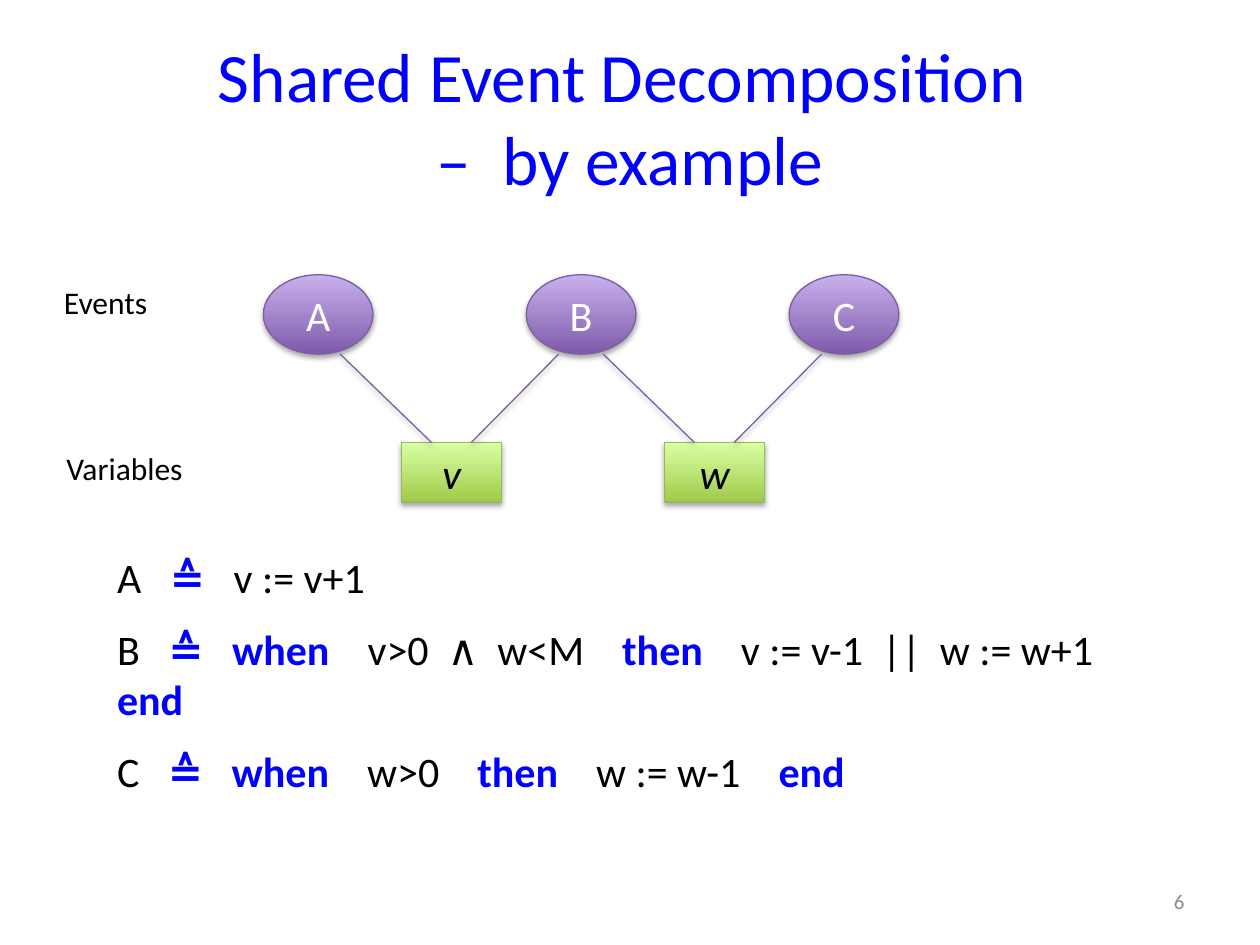
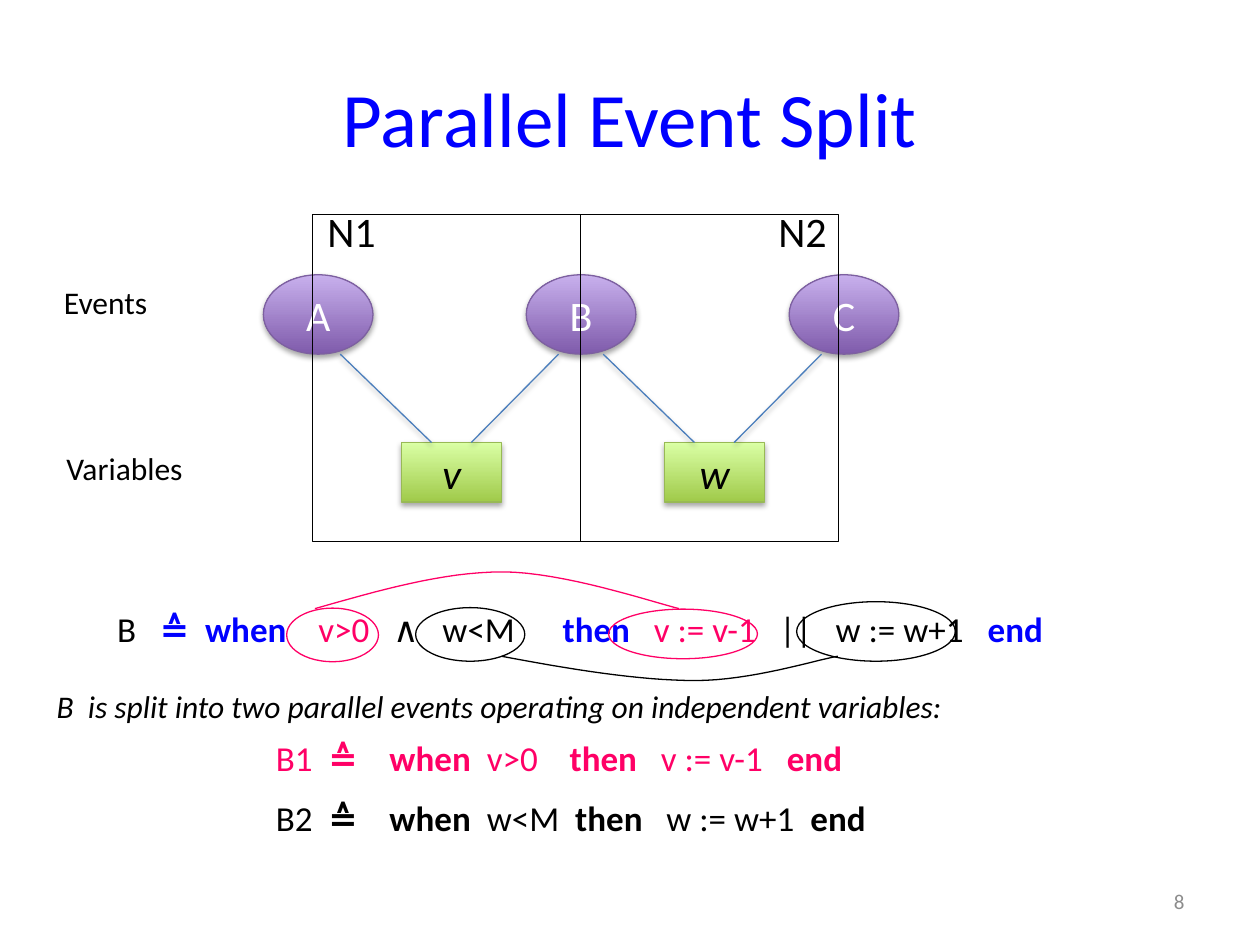
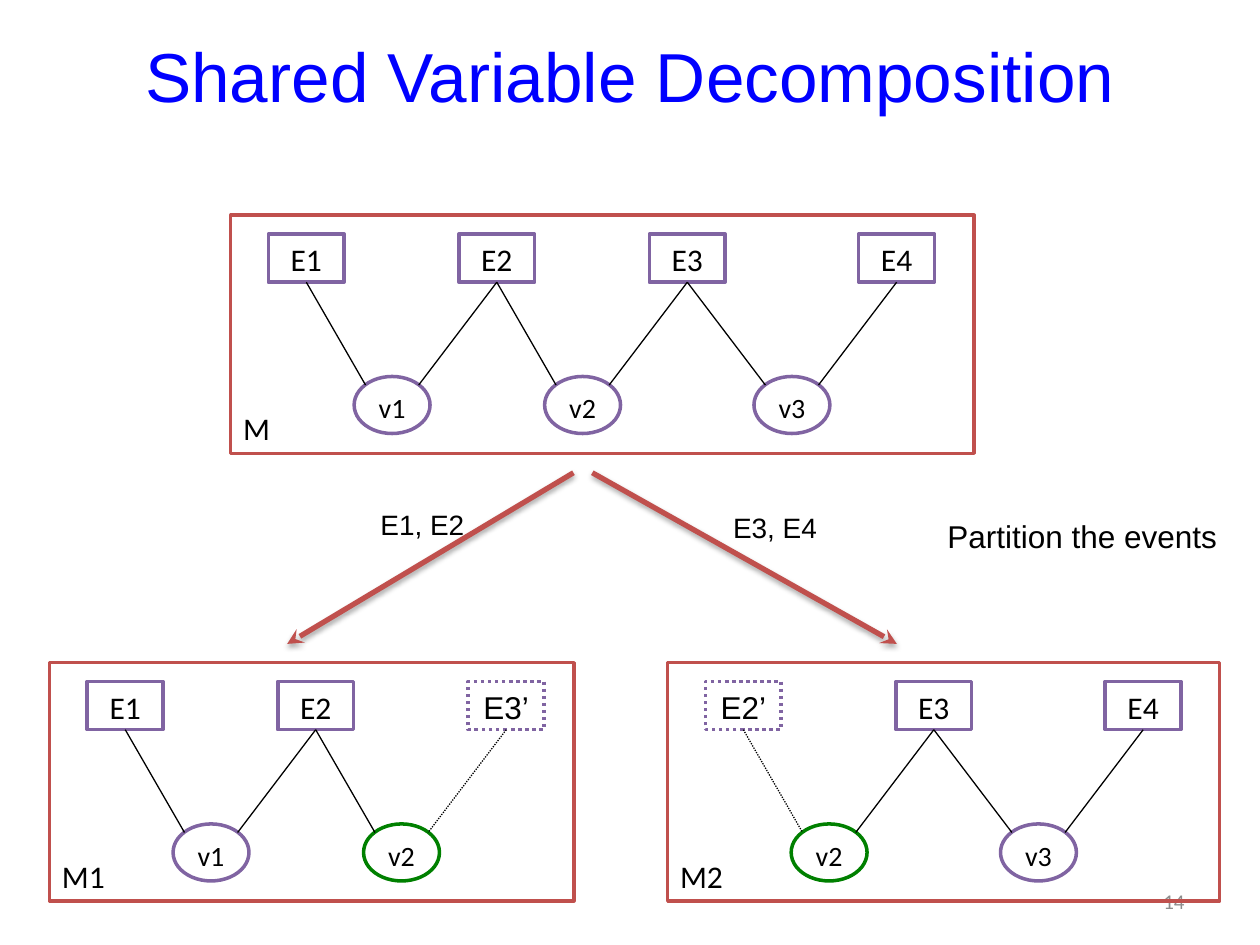
from copy import deepcopy
from dataclasses import dataclass
from typing import Any, NamedTuple

from lxml import etree
from pptx import Presentation
from pptx import util as u
from pptx.dml.color import RGBColor
from pptx.enum import dml, shapes, text
from pptx.oxml import ns

Cm = u.Cm


@dataclass(frozen=True)
class Theme:
    font: str = "Calibri"
    plain_font: str = "Arial"
    title: str = "0000FF"
    keyword: str = "0000FF"
    ink: str = "000000"
    light: str = "FFFFFF"
    faint: str = "8C8C8C"
    first_part: str = "FF0066"
    event_line: str = "7D60A0"
    split_link: str = "4B7EBC"
    node: str = "8064A2"
    shared: str = "008000"
    machine: str = "C0504D"
    event_fill: tuple[str, str] = ("7F5BAB", "C8B0ED")
    variable_fill: tuple[str, str] = ("A0CA4A", "DAFFA5")
    variable_line: str = "98B955"
    title_size: float = 44
    title_small: float = 39.6
    large: float = 24
    medium: float = 20
    body: float = 18
    small: float = 16
    number: float = 12
    thin: float = 0.75
    thick: float = 2
    arrow: float = 3


THEME = Theme()
OVAL = shapes.MSO_SHAPE.OVAL
RECTANGLE = shapes.MSO_SHAPE.RECTANGLE
CENTER = text.PP_ALIGN.CENTER
MIDDLE = text.MSO_ANCHOR.MIDDLE


class Box(NamedTuple):
    left: float
    top: float
    width: float
    height: float

    def lengths(self) -> list[u.Length]:
        return [Cm(value) for value in self]


class Point(NamedTuple):
    x: float
    y: float


class Span(NamedTuple):
    text: str
    colour: str | None = None
    bold: bool = False


class Event(NamedTuple):
    name: str
    left: float
    external: bool = False


class Variable(NamedTuple):
    name: str
    shared: bool = False


class Machine(NamedTuple):
    name: str
    frame: Box
    events: list[Event]
    variables: list[Variable]


def key(words: str) -> Span:
    return Span(words, THEME.keyword, True)


def strong(words: str, colour: str | None = None) -> Span:
    return Span(words, colour, True)


def write(frame: Any, content: str | list[list[Span]], *, size: float = THEME.body,
          colour: str = THEME.ink, font: str = THEME.font, italic: bool = False,
          align: Any = None, anchor: Any = text.MSO_ANCHOR.TOP, wrap: bool = True,
          before: float = 0, grow: bool = False) -> None:
    frame.word_wrap = wrap
    frame.vertical_anchor = anchor
    frame.auto_size = (text.MSO_AUTO_SIZE.SHAPE_TO_FIT_TEXT if grow
                       else text.MSO_AUTO_SIZE.NONE)
    lines = [[Span(content)]] if isinstance(content, str) else content
    for index, spans in enumerate(lines):
        para = frame.add_paragraph() if index else frame.paragraphs[0]
        para.alignment = align
        if before:
            para.space_before = u.Pt(before)
        for span in spans:
            run = para.add_run()
            run.text = span.text
            run.font.name = font
            run.font.size = u.Pt(size)
            run.font.italic = italic
            run.font.bold = span.bold
            run.font.color.rgb = RGBColor.from_string(span.colour or colour)


def label(canvas: Any, box: Box, content: str | list[list[Span]], **style: Any) -> None:
    write(canvas.add_textbox(*box.lengths()).text_frame, content, **style)


def set_effects(properties: Any, shadow: bool) -> None:
    for old in properties.findall(ns.qn("a:effectLst")):
        properties.remove(old)
    effects = etree.SubElement(properties, ns.qn("a:effectLst"))
    if shadow:
        outer = etree.SubElement(effects, ns.qn("a:outerShdw"), blurRad="40000",
                                 dist="23000", dir="5400000", rotWithShape="0")
        tint = etree.SubElement(outer, ns.qn("a:srgbClr"), val=THEME.ink)
        etree.SubElement(tint, ns.qn("a:alpha"), val="35000")


def set_line(line: Any, colour: str, width: float, dotted: bool = False) -> None:
    line.color.rgb = RGBColor.from_string(colour)
    line.width = u.Pt(width)
    if dotted:
        line.dash_style = dml.MSO_LINE.ROUND_DOT


def draw_shape(canvas: Any, kind: Any, box: Box, *, line: str, width: float = THEME.thin,
               fill: str | tuple[str, str] | None = None, dotted: bool = False,
               shadow: bool = False, content: str = "", **style: Any) -> None:
    shape = canvas.add_shape(kind, *box.lengths())
    if fill is None:
        shape.fill.background()
    elif isinstance(fill, str):
        shape.fill.solid()
        shape.fill.fore_color.rgb = RGBColor.from_string(fill)
    else:
        shape.fill.gradient()
        shape.fill.gradient_angle = 90
        for stop, position, colour in zip(shape.fill.gradient_stops, (0, 1), fill):
            stop.position = position
            stop.color.rgb = RGBColor.from_string(colour)
    set_line(shape.line, line, width, dotted)
    set_effects(shape._element.spPr, shadow)
    if content:
        write(shape.text_frame, content, **style)


def draw_link(canvas: Any, start: Point, end: Point, *, colour: str = THEME.ink,
              width: float = THEME.thin, dotted: bool = False, shadow: bool = False,
              arrow: bool = False) -> None:
    link = canvas.add_connector(shapes.MSO_CONNECTOR.STRAIGHT,
                                *[Cm(value) for value in (*start, *end)])
    set_line(link.line, colour, width, dotted)
    if arrow:
        etree.SubElement(link.line._get_or_add_ln(), ns.qn("a:tailEnd"), type="stealth")
    set_effects(link._element.spPr, shadow)


def draw_curve(canvas: Any, points: list[Point], colour: str, steps: int = 16) -> None:
    track = []
    for first in range(0, len(points) - 1, 3):
        corners = points[first:first + 4]
        for step in range(1, steps + 1):
            t = step / steps
            weights = ((1 - t) ** 3, 3 * t * (1 - t) ** 2, 3 * t * t * (1 - t), t ** 3)
            track.append(tuple(
                Cm(sum(w * corner[axis] for w, corner in zip(weights, corners)))
                for axis in (0, 1)))
    builder = canvas.build_freeform(Cm(points[0].x), Cm(points[0].y))
    builder.add_line_segments(track, close=False)
    curve = builder.convert_to_shape()
    curve.fill.background()
    set_line(curve.line, colour, THEME.thin)
    set_effects(curve._element.spPr, False)


def add_page(deck: Any, lines: list[str], number: str, size: float,
             font: str = THEME.font) -> Any:
    page = deck.slides.add_slide(deck.slide_layouts[5])
    title = page.shapes.title
    title.left, title.top, title.width, title.height = Box(1.27, 0.76, 22.86, 3.18).lengths()
    write(title.text_frame, lines[0], size=size, colour=THEME.title, font=font,
          align=CENTER, anchor=MIDDLE)
    para = title.text_frame.paragraphs[0]
    first = para.runs[0]
    for line in lines[1:]:
        para.add_line_break()
        para._p[-1].append(deepcopy(first._r.rPr))
        if line:
            span = para.add_run()
            span.text = line
            span._r.insert(0, deepcopy(first._r.rPr))
    ending = para._p.get_or_add_endParaRPr()
    ending.set("sz", first._r.rPr.get("sz"))
    for child in first._r.rPr:
        ending.append(deepcopy(child))
    label(page.shapes, Box(18.21, 17.65, 5.92, 1.02), number, size=THEME.number,
          colour=THEME.faint, align=text.PP_ALIGN.RIGHT, anchor=MIDDLE)
    return page


def draw_network(canvas: Any, link_colour: str) -> None:
    pitch, event_x, variable_x = 5.3, 6.41, 9.1
    event_top, event_bottom, variable_top = 5.54, 7.14, 8.92
    node = dict(shadow=True, size=THEME.large, align=CENTER, anchor=MIDDLE, wrap=False)
    for index, name in enumerate("ABC"):
        draw_shape(canvas, OVAL, Box(event_x + index * pitch - 1.1, event_top, 2.21, 1.6),
                   line=THEME.event_line, fill=THEME.event_fill, content=name,
                   colour=THEME.light, **node)
    for index, name in enumerate("vw"):
        middle = variable_x + index * pitch
        draw_shape(canvas, RECTANGLE, Box(middle - 1, variable_top, 2.01, 1.2),
                   line=THEME.variable_line, fill=THEME.variable_fill, content=name,
                   italic=True, **node)
        for side in (-1, 1):
            event = event_x + (index + (side + 1) / 2) * pitch
            draw_link(canvas, Point(event - side * 0.45, event_bottom),
                      Point(middle + side * 0.4, variable_top),
                      colour=link_colour, shadow=True)
    label(canvas, Box(1.04, 5.59, 2.46, 1.02), "Events", wrap=False, grow=True)
    label(canvas, Box(1.09, 8.92, 3.15, 1.02), "Variables", wrap=False, grow=True)


def draw_machine(page: Any, machine: Machine) -> None:
    canvas = page.shapes.add_group_shape().shapes
    frame = machine.frame
    event_width, event_height, oval_width, oval_height = 1.53, 0.97, 1.53, 1.15
    event_top, oval_top = frame.top + 0.38, frame.top + 3.25
    corner = 0.15
    for event in machine.events:
        draw_shape(canvas, RECTANGLE,
                   Box(frame.left + event.left, event_top, event_width, event_height),
                   line=THEME.node, width=THEME.thick, fill=THEME.light,
                   dotted=event.external, content=event.name, align=CENTER,
                   font=THEME.plain_font if event.external else THEME.font)
    for before, after, variable in zip(machine.events, machine.events[1:],
                                       machine.variables):
        left = frame.left + after.left - 2.11
        draw_shape(canvas, OVAL, Box(left, oval_top, oval_width, oval_height),
                   line=THEME.shared if variable.shared else THEME.node,
                   width=THEME.thick, fill=None if variable.shared else THEME.light,
                   content=variable.name, size=THEME.small, align=CENTER)
        for event, share in ((before, corner), (after, 1 - corner)):
            draw_link(canvas,
                      Point(frame.left + event.left + event_width / 2,
                            event_top + event_height),
                      Point(left + share * oval_width, oval_top + corner * oval_height),
                      dotted=event.external)
    draw_shape(canvas, RECTANGLE, frame, line=THEME.machine, width=THEME.thick,
               content=machine.name, anchor=text.MSO_ANCHOR.BOTTOM,
               align=text.PP_ALIGN.LEFT)


def build_example(deck: Any) -> None:
    page = add_page(deck, ["Shared Event Decomposition ", "–  by example"], "6",
                    THEME.title_small)
    draw_network(page.shapes, THEME.event_line)
    label(page.shapes, Box(2.11, 11, 22.02, 4.37), [
        [Span("A  "), key(" ≙   "), Span("v := v+1")],
        [Span("B  "), key(" ≙   when    "), Span("v>0  ∧  w<M    "), key("then    "),
         Span("v := v-1  ||  w := w+1    "), key("end")],
        [Span("C  "), key(" ≙   when    "), Span("w>0    "), key("then    "),
         Span("w := w-1    "), key("end")],
    ], size=THEME.large, before=THEME.large / 2, grow=True)


def build_split(deck: Any) -> None:
    page = add_page(deck, ["Parallel Event Split"], "8", THEME.title_size)
    canvas = page.shapes
    pink = THEME.first_part
    draw_network(canvas, THEME.split_link)
    label(canvas, Box(5.31, 14.73, 12.8, 2.39), [
        [Span("B1 ", pink), strong(" ≙    when", pink), Span("  v>0    ", pink),
         strong("then", pink), Span("   v := v-1   ", pink), strong("end", pink)],
        [Span("B2 "), strong(" ≙    when"), Span("  w<M  "), strong("then"),
         Span("   w := w+1  "), strong("end")],
    ], size=THEME.medium, before=THEME.medium / 2, grow=True)
    for box in (Box(6.3, 4.32, 5.4, 6.6), Box(11.7, 4.32, 5.2, 6.6)):
        draw_shape(canvas, RECTANGLE, box, line=THEME.ink)
    label(canvas, Box(0.89, 13.72, 19.2, 1.02),
          "B  is split into two parallel events operating on independent variables:",
          italic=True, before=THEME.body / 2, grow=True)
    label(canvas, Box(2.11, 12.12, 20.8, 1.12), [
        [Span("B  "), key(" ≙  when    "), Span("v>0   ", pink), Span("∧   w<M      "),
         key("then   "), Span("v := v-1", pink), Span("   ||   w := w+1   "), key("end")],
    ], size=THEME.medium, before=THEME.medium / 2, grow=True)
    for box, colour in ((Box(5.78, 12.26, 1.85, 1.08), pink),
                        (Box(12.27, 12.28, 3, 1), pink),
                        (Box(8.38, 12.25, 2.2, 1.08), THEME.ink),
                        (Box(16.06, 12.13, 3.2, 1.2), THEME.ink)):
        draw_shape(canvas, OVAL, box, line=colour)
    draw_curve(canvas, [Point(6.35, 12.27), Point(7.62, 11.91), Point(8.92, 11.53),
                        Point(10.13, 11.53), Point(11.35, 11.53), Point(13.16, 12.14),
                        Point(13.69, 12.27)], pink)
    draw_curve(canvas, [Point(10.11, 13.23), Point(11.48, 13.49), Point(12.88, 13.72),
                        Point(14.02, 13.72), Point(15.14, 13.72), Point(16.43, 13.31),
                        Point(16.89, 13.23)], THEME.ink)
    for left, name in ((6.35, "N1"), (15.44, "N2")):
        label(canvas, Box(left, 4.02, 1.5, 1.27), name, size=THEME.large, wrap=False,
              grow=True)


def build_shared_variables(deck: Any) -> None:
    page = add_page(deck, ["Shared Variable Decomposition", ""], "14",
                    THEME.title_small, THEME.plain_font)
    machines = [
        Machine("M", Box(4.65, 4.34, 14.99, 4.8),
                [Event("E1", 0.76), Event("E2", 4.6), Event("E3", 8.44),
                 Event("E4", 12.66)],
                [Variable("v1"), Variable("v2"), Variable("v3")]),
        Machine("M1", Box(1, 13.36, 10.57, 4.8),
                [Event("E1", 0.76), Event("E2", 4.6), Event("E3’", 8.44, True)],
                [Variable("v1"), Variable("v2", True)]),
        Machine("M2", Box(13.46, 13.36, 11.13, 4.8),
                [Event("E2’", 0.76, True), Event("E3", 4.6), Event("E4", 8.82)],
                [Variable("v2", True), Variable("v3")]),
    ]
    for machine in machines:
        draw_machine(page, machine)
    for start, end in ((11.56, 5.79), (11.94, 18.08)):
        draw_link(page.shapes, Point(start, 9.53), Point(end, 12.98),
                  colour=THEME.machine, width=THEME.arrow, shadow=True, arrow=True)
    for box, words, size in ((Box(7.42, 10.1, 2.24, 0.94), "E1, E2", THEME.small),
                             (Box(14.53, 10.17, 2.24, 0.94), "E3, E4", THEME.small),
                             (Box(18.85, 10.29, 5.94, 1), "Partition the events",
                              THEME.body)):
        label(page.shapes, box, words, size=size, font=THEME.plain_font, wrap=False,
              grow=True)


def main() -> None:
    deck = Presentation()
    deck.slide_width, deck.slide_height = Cm(25.4), Cm(19.05)
    build_example(deck)
    build_split(deck)
    build_shared_variables(deck)
    deck.save("out.pptx")


if __name__ == "__main__":
    main()
